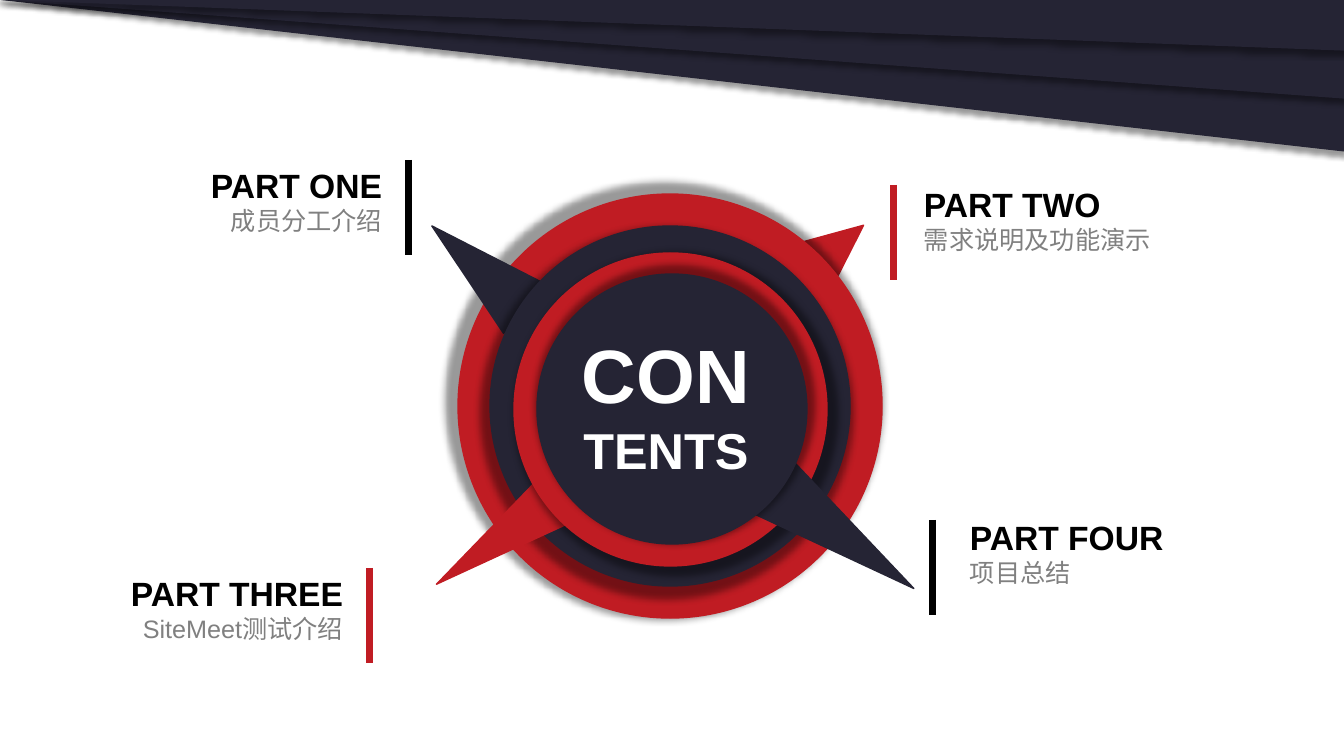
from lxml.etree import SubElement as Sub
from pptx import Presentation
from pptx.dml.color import RGBColor as RGB
from pptx.enum.shapes import MSO_CONNECTOR as Link, MSO_SHAPE as Shape
from pptx.enum.text import MSO_AUTO_SIZE as Fit, PP_ALIGN as Align
from pptx.oxml.ns import qn
from pptx.util import Pt

COLORS = {
    "red": "C01C23",
    "navy": "252434",
    "black": "000000",
    "gray": "808080",
    "white": "FFFFFF",
}
FONT = "Arial"
WIDTH, HEIGHT = 1344, 756


def px(n):
    return round(n * 12192000 / WIDTH)


def tone(name):
    return RGB.from_string(COLORS[name])


class Page:
    def __init__(self, slide):
        self.shapes = slide.shapes

    def shape(self, kind, box, color, turn=0):
        item = self.shapes.add_shape(kind, *map(px, box))
        item.rotation = turn
        item.fill.solid()
        item.fill.fore_color.rgb = tone(color)
        item.line.color.rgb = tone(color)
        item.line.width = Pt(1)
        item.shadow.inherit = False
        return item

    def shade(self, item, blur, **more):
        """Add a soft black shadow; more holds further outerShdw values."""
        effect = item._element.spPr.find(qn("a:effectLst"))
        outer = Sub(effect, qn("a:outerShdw"), blurRad=str(Pt(blur)), **more)
        black = Sub(outer, qn("a:srgbClr"), val=COLORS["black"])
        Sub(black, qn("a:alpha"), val="40000")

    def spike(self, box, color, turn, peak):
        item = self.shape(Shape.ISOSCELES_TRIANGLE, box, color, turn)
        item.adjustments[0] = peak

    def ring(self, left, top, size, color, turn):
        item = self.shape(Shape.OVAL, (left, top, size, size), color, turn)
        self.shade(item, 5, sx="103000", sy="103000", algn="tl")

    def wedge(self, height):
        item = self.shape(Shape.RIGHT_TRIANGLE, (-2, -1, 1347, height), "navy")
        frame = item._element.spPr.find(qn("a:xfrm"))
        frame.set("flipH", "1")
        frame.set("flipV", "1")
        self.shade(item, 4, dist=str(Pt(3)), dir="5400000", algn="t")

    def bar(self, x, top, color):
        item = self.shapes.add_connector(
            Link.STRAIGHT, px(x), px(top), px(x), px(top + 95))
        item.line.color.rgb = tone(color)
        item.line.width = Pt(5)
        Sub(item._element.spPr, qn("a:effectLst"))

    def text(self, box, align, lines):
        """Each line is a tuple of words, size, color and bold."""
        frame = self.shapes.add_textbox(*map(px, box)).text_frame
        frame.word_wrap = True
        frame.auto_size = Fit.SHAPE_TO_FIT_TEXT
        frame.text = "\n".join(line[0] for line in lines)
        for para, (_, size, color, bold) in zip(frame.paragraphs, lines):
            para.alignment = align
            font = para.font
            font.name, font.size, font.bold = FONT, Pt(size), bold
            font.color.rgb = tone(color)


# spike box, spike turn, spike peak, ring left, top, size, ring turn, color
DIAL = [
    ((813, 214, 54, 61), 50.8, 0.5, (458, 194, 424), 176, "red"),
    ((446, 205, 65, 125), 311.7, 0.5, (490, 226, 360), 76.9, "navy"),
    ((474, 467, 58, 154), 230.7, 0.69, (514, 253, 313), 355.9, "red"),
    ((812, 453, 65, 171), 125.8, 0.5, (537, 274, 270), 251, "navy"),
]

# title, detail, text left, top, align, bar x, top, color
PARTS = [
    ("PART ONE", "成员分工介绍", 65, 160, Align.RIGHT, 409, 160, "black"),
    ("PART TWO", "需求说明及功能演示", 914, 179, Align.LEFT, 894, 185, "red"),
    ("PART FOUR", "项目总结", 960, 512, Align.LEFT, 933, 520, "black"),
    ("PART THREE", "SiteMeet测试介绍", 26, 568, Align.RIGHT, 370, 568, "red"),
]


def main():
    deck = Presentation()
    deck.slide_width, deck.slide_height = px(WIDTH), px(HEIGHT)
    page = Page(deck.slides.add_slide(deck.slide_layouts[6]))

    for box, turn, peak, disc, spin, color in DIAL:
        page.spike(box, color, turn, peak)
        page.ring(*disc, color, spin)

    for title, detail, left, top, align, x, y, color in PARTS:
        page.bar(x, y, color)
        page.text((left, top, 327, 82), align, [
            (title, 24, "black", True), (detail, 18, "gray", False)])

    page.text((564, 323, 204, 163), Align.CENTER, [
        ("CON", 54, "white", True), ("TENTS", 36, "white", True)])

    for height in (152, 99, 51):
        page.wedge(height)

    deck.save("out.pptx")


if __name__ == "__main__":
    main()
